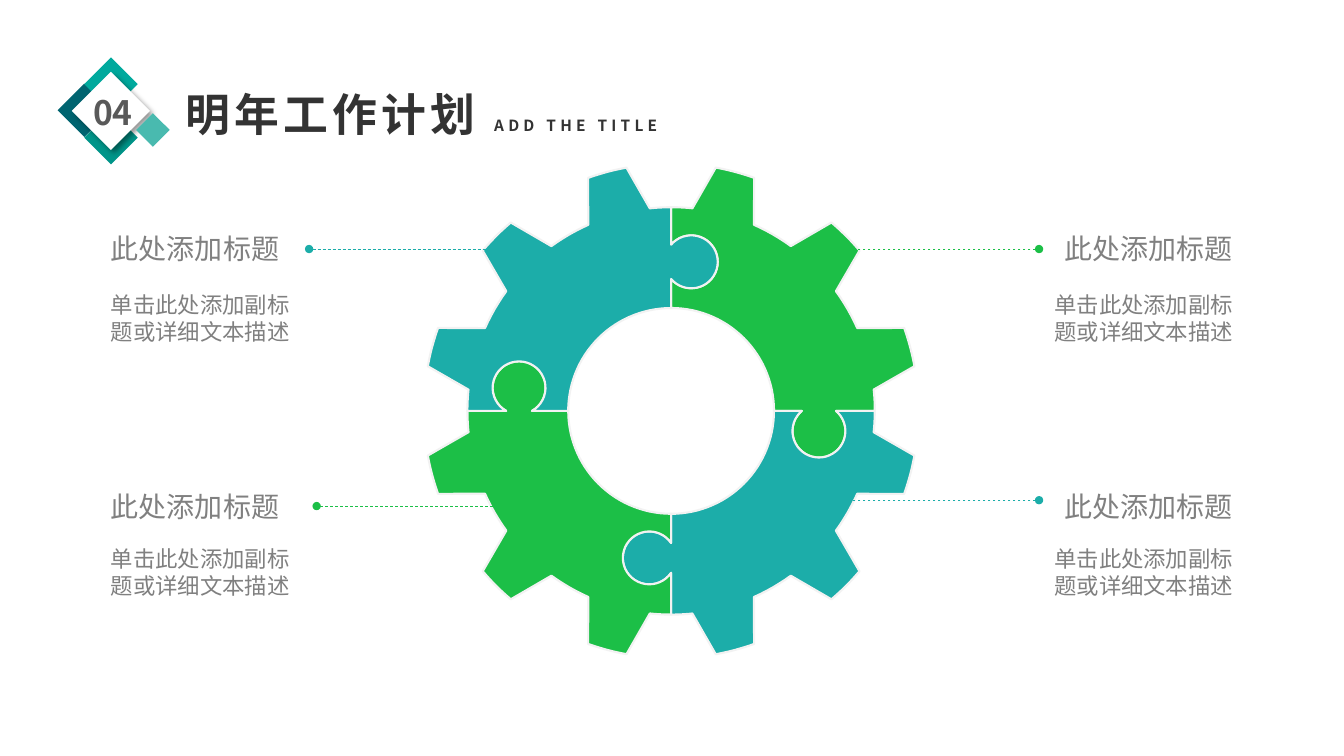
from dataclasses import dataclass
from math import asin, cos, pi, radians, sin

from lxml.etree import SubElement
from pptx import Presentation
from pptx.dml.color import RGBColor
from pptx.enum.dml import MSO_LINE
from pptx.enum.shapes import MSO_CONNECTOR, MSO_SHAPE
from pptx.enum.text import MSO_AUTO_SIZE, PP_ALIGN
from pptx.oxml.ns import qn
from pptx.shapes.autoshape import Shape
from pptx.shapes.base import BaseShape
from pptx.util import Inches, Pt

# Grid of 160 columns by 90 rows of square cells
CELL = Inches(1) // 12
COLUMNS, ROWS = 160, 90


@dataclass(frozen=True)
class Theme:
    teal: str = "1CADA9"
    green: str = "1CBF47"
    seam: str = "F2F2F2"
    white: str = "FFFFFF"
    heading: str = "333333"
    number: str = "595959"
    body: str = "808080"
    heading_font: str = "Noto Sans CJK SC"
    body_font: str = "Calibri"
    heading_size: float = 32
    number_size: float = 24
    label_size: float = 20
    detail_size: float = 16
    tagline_size: float = 11


THEME = Theme()


@dataclass(frozen=True)
class Diamond:
    column: float
    row: float
    side: float
    color: str
    shadow: bool = False


@dataclass(frozen=True)
class Span:
    text: str
    size: float
    color: str
    font: str
    bold: bool = False
    spacing: int = 0


@dataclass(frozen=True)
class TextBox:
    column: float
    row: float
    width: float
    height: float
    align: PP_ALIGN
    spans: tuple[Span, ...]
    margin: bool = False


@dataclass(frozen=True)
class Callout:
    column: float
    width: float
    label_row: float
    detail_row: float
    align: PP_ALIGN
    line_from: float
    line_to: float
    line_row: float
    color: str
    side: int
    joined: bool


@dataclass(frozen=True)
class Knob:
    distance: float
    offset: float


DIAMONDS = [
    Diamond(6.86, 9.96, 6.36, "006470"),
    Diamond(10.04, 6.84, 6.36, "00A99D"),
    Diamond(10.04, 13.2, 6.36, "009589"),
    Diamond(8.55, 8.55, 9.3, THEME.white, True),
    Diamond(16.2, 13.47, 4, "49BAAF"),
]
LEFT, RIGHT = PP_ALIGN.LEFT, PP_ALIGN.RIGHT
CALLOUTS = [
    Callout(13.2, 23.6, 27.6, 34.7, LEFT, 36.8, 61.9, 29.65, THEME.teal, 3, True),
    Callout(13.2, 23.6, 58.3, 64.9, LEFT, 37.7, 60.8, 60.25, THEME.green, 3, False),
    Callout(123.7, 23.1, 27.6, 34.7, RIGHT, 123.7, 98.2, 29.65, THEME.green, 1, True),
    Callout(123.7, 23.1, 58.3, 64.9, RIGHT, 123.7, 98.2, 59.55, THEME.teal, 1, False),
]

# Gear: twelve teeth, four pieces, one knob on each seam (clockwise from the top)
CENTER_COLUMN, CENTER_ROW = 79.9, 48.92
HOLE, ROOT, TIP, KNOB = 12.25, 24.25, 29.45, 3.15
ROOT_HALF, TIP_HALF, TOOTH_STEP = 6, 4.6, 30
KNOBS = [Knob(17.75, 2.4), Knob(17.6, 2.4), Knob(17.5, 2.6), Knob(18.1, 2.75)]

Point = tuple[float, float]


def cells(value: float) -> int:
    return round(value * CELL)


def rgb(color: str) -> RGBColor:
    return RGBColor.from_string(color)


def place(angle: float, outward: float, across: float = 0) -> Point:
    """Point at a clockwise angle from the top, seen from the gear's center."""
    turn = radians(angle)
    return (CENTER_COLUMN + outward * sin(turn) + across * cos(turn),
            CENTER_ROW - outward * cos(turn) + across * sin(turn))


def arc(radius: float, start: float, end: float, steps: int = 6) -> list[Point]:
    return [place(start + (end - start) * i / steps, radius) for i in range(steps + 1)]


def knob_outline(seam: int, steps: int = 36) -> list[Point]:
    knob = KNOBS[seam % 4]
    neck = asin(knob.offset / KNOB)
    turns = [-neck + (pi + 2 * neck) * i / steps for i in range(steps + 1)]
    return [place(seam * 90, knob.distance + KNOB * cos(t), knob.offset + KNOB * sin(t))
            for t in turns]


def piece_outline(quarter: int) -> list[Point]:
    start, end = quarter * 90, quarter * 90 + 90
    points = arc(ROOT, start, start + ROOT_HALF)
    for valley in range(start + TOOTH_STEP, end + 1, TOOTH_STEP):
        tooth = valley - TOOTH_STEP / 2
        points += arc(TIP, tooth - TIP_HALF, tooth + TIP_HALF)
        points += arc(ROOT, valley - ROOT_HALF, min(valley + ROOT_HALF, end))
    points += knob_outline(quarter + 1)
    points += arc(HOLE, end, start, 30)
    return points + knob_outline(quarter)[::-1]


def paint(shape: Shape, color: str) -> None:
    shape.shadow.inherit = False
    shape.fill.solid()
    shape.fill.fore_color.rgb = rgb(color)


def add_drop_shadow(shape: BaseShape) -> None:
    effects = shape.element.spPr.find(qn("a:effectLst"))
    shadow = SubElement(effects, qn("a:outerShdw"), blurRad=str(Pt(4)), dist=str(Pt(3)),
                        dir="2700000", algn="tl", rotWithShape="0")
    tint = SubElement(shadow, qn("a:srgbClr"), val="000000")
    SubElement(tint, qn("a:alpha"), val="40000")


def add_diamond(page, diamond: Diamond) -> None:
    side = cells(diamond.side)
    shape = page.shapes.add_shape(MSO_SHAPE.DIAMOND, cells(diamond.column),
                                  cells(diamond.row), side, side)
    paint(shape, diamond.color)
    shape.line.fill.background()
    if diamond.shadow:
        add_drop_shadow(shape)


def add_piece(page, quarter: int, color: str) -> None:
    points = [(cells(x), cells(y)) for x, y in piece_outline(quarter)]
    builder = page.shapes.build_freeform(*points[0])
    builder.add_line_segments(points[1:], close=True)
    piece = builder.convert_to_shape()
    paint(piece, color)
    piece.line.color.rgb = rgb(THEME.seam)
    piece.line.width = Pt(1.5)


def add_text(page, item: TextBox) -> Shape:
    box = page.shapes.add_textbox(*map(cells, (item.column, item.row, item.width, item.height)))
    frame = box.text_frame
    layout = {"word_wrap": True, "auto_size": MSO_AUTO_SIZE.SHAPE_TO_FIT_TEXT}
    if not item.margin:
        layout |= {f"margin_{edge}": 0 for edge in ("left", "top", "right", "bottom")}
    for name, value in layout.items():
        setattr(frame, name, value)
    para = frame.paragraphs[0]
    para.alignment = item.align
    for span in item.spans:
        run = para.add_run()
        run.text = span.text
        for name, value in {"size": Pt(span.size), "name": span.font, "bold": span.bold}.items():
            setattr(run.font, name, value)
        run.font.color.rgb = rgb(span.color)
        properties = run.font._element
        SubElement(properties, qn("a:ea"), typeface=span.font)
        if span.spacing:
            properties.set("spc", str(span.spacing * 100))
    return box


def add_callout(page, item: Callout) -> None:
    label = Span("此处添加标题", THEME.label_size, THEME.body, THEME.body_font)
    detail = Span("单击此处添加副标题或详细文本描述", THEME.detail_size, THEME.body, THEME.body_font)
    label_box = add_text(page, TextBox(item.column, item.label_row, item.width, 4.1,
                                       item.align, (label,)))
    add_text(page, TextBox(item.column, item.detail_row, item.width, 6.5, item.align, (detail,)))
    row = cells(item.line_row)
    leader = page.shapes.add_connector(MSO_CONNECTOR.STRAIGHT, cells(item.line_from), row,
                                       cells(item.line_to), row)
    if item.joined:
        leader.begin_connect(label_box, item.side)
    leader.line.color.rgb = rgb(item.color)
    leader.line.width = Pt(0.5)
    leader.line.dash_style = MSO_LINE.DASH
    SubElement(leader.line._get_or_add_ln(), qn("a:headEnd"), type="oval")
    SubElement(leader.element.spPr, qn("a:effectLst"))


def main() -> None:
    deck = Presentation()
    deck.slide_width, deck.slide_height = COLUMNS * CELL, ROWS * CELL
    page = deck.slides.add_slide(deck.slide_layouts[6])

    # Section badge and heading
    for diamond in DIAMONDS:
        add_diamond(page, diamond)
    font = THEME.heading_font
    number = Span("04", THEME.number_size, THEME.number, font, True)
    heading = Span("明年工作计划 ", THEME.heading_size, THEME.heading, font, True, 3)
    tagline = Span("ADD THE TITLE", THEME.tagline_size, THEME.heading, font, True, 3)
    add_text(page, TextBox(9, 10.4, 8.9, 4.6, PP_ALIGN.CENTER, (number,), True))
    add_text(page, TextBox(20.9, 9.7, 62.2, 7.7, LEFT, (heading, tagline), True))

    # Gear and callouts
    for quarter in range(4):
        add_piece(page, quarter, (THEME.green, THEME.teal)[quarter % 2])
    for callout in CALLOUTS:
        add_callout(page, callout)
    deck.save("out.pptx")


if __name__ == "__main__":
    main()
